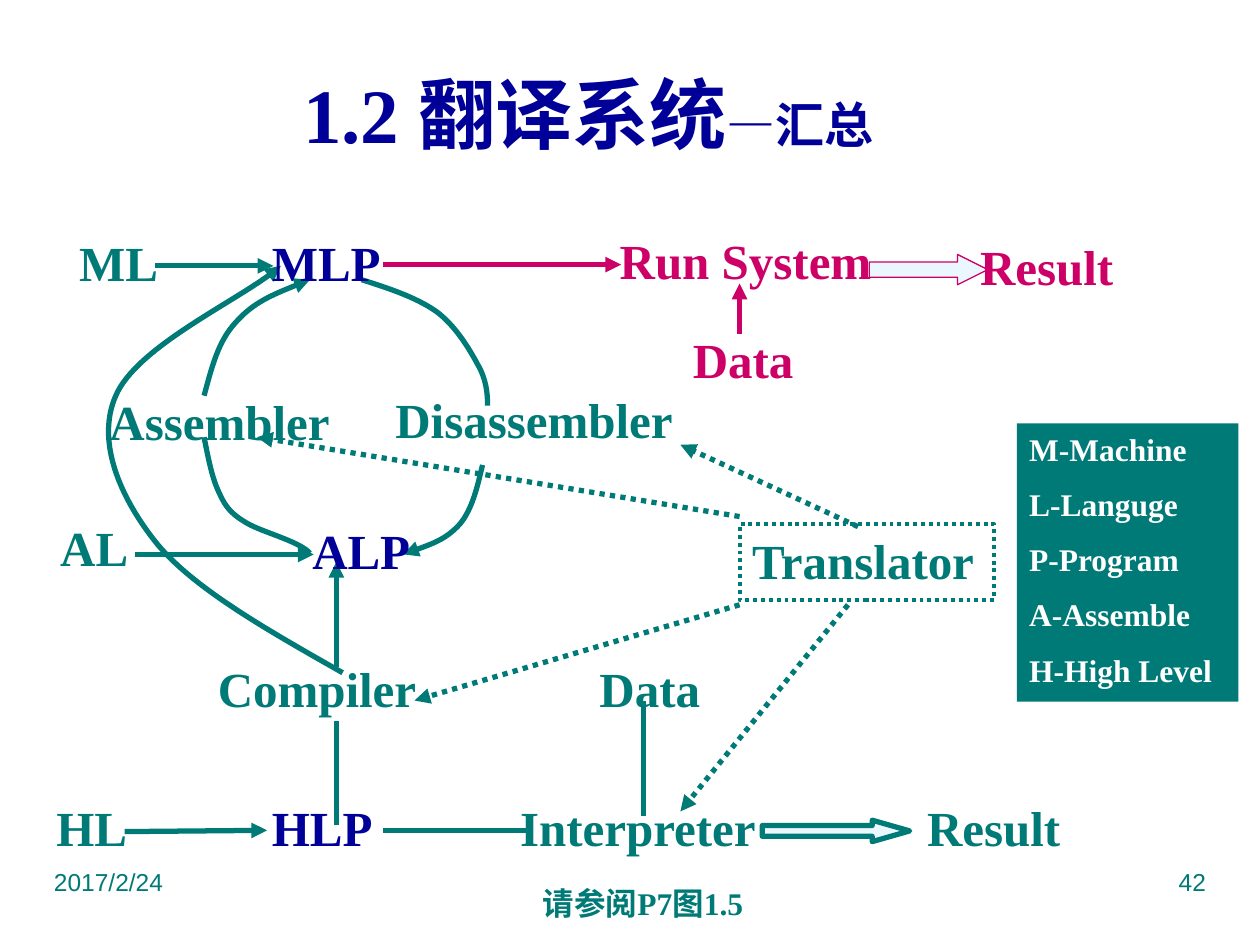
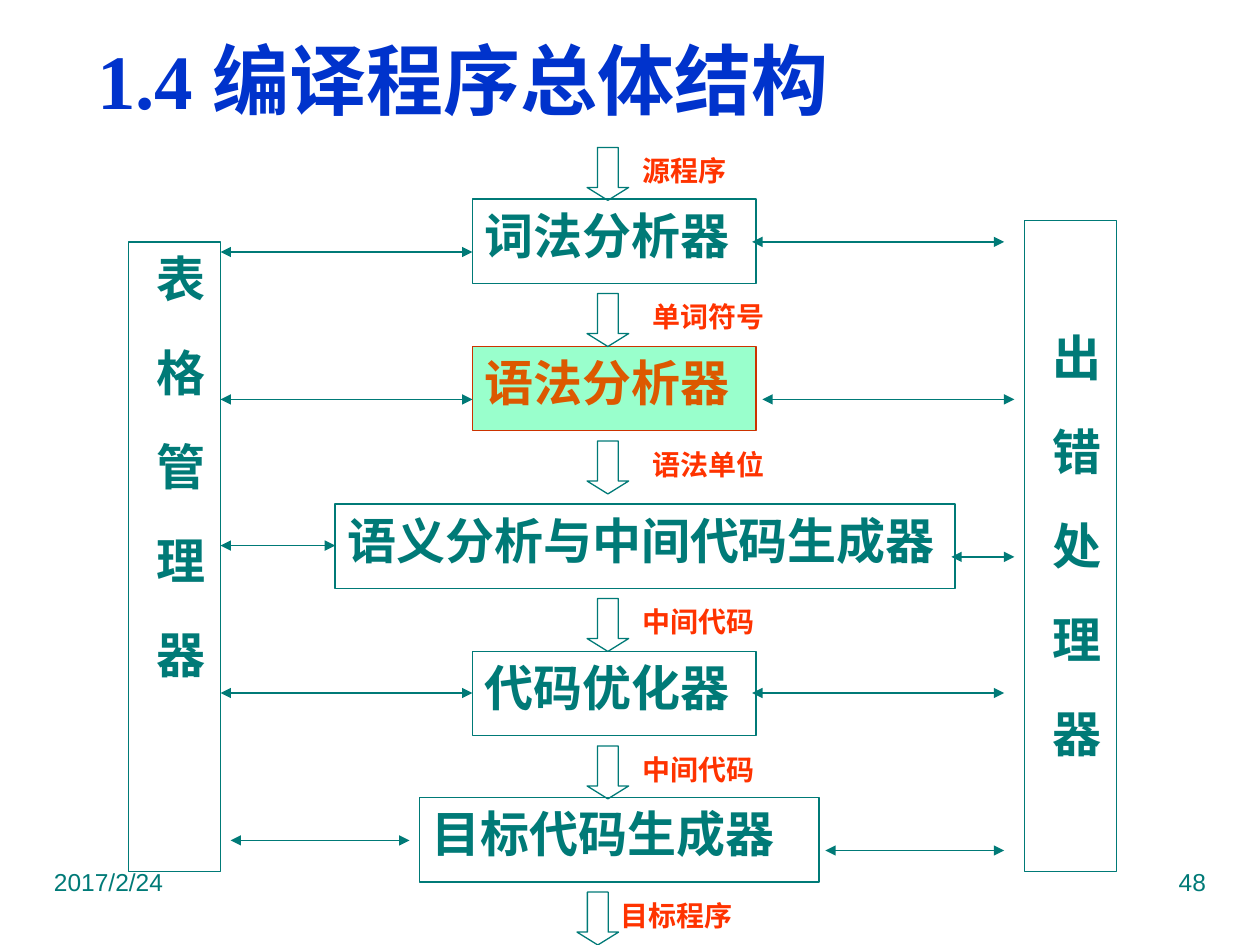
from pptx import Presentation
from pptx.dml.color import RGBColor
from pptx.enum.dml import MSO_LINE
from pptx.enum.shapes import MSO_CONNECTOR, MSO_SHAPE
from pptx.enum.text import MSO_ANCHOR, MSO_AUTO_SIZE, PP_ALIGN
from pptx.oxml.ns import qn
from pptx.util import Inches, Pt
from lxml import etree

LINE = MSO_CONNECTOR.STRAIGHT
RECT, RIGHT, DOWN = MSO_SHAPE.RECTANGLE, MSO_SHAPE.RIGHT_ARROW, MSO_SHAPE.DOWN_ARROW
DOTS = MSO_LINE.ROUND_DOT
TOP, MIDDLE = MSO_ANCHOR.TOP, MSO_ANCHOR.MIDDLE
LEFT, CENTER, FAR = PP_ALIGN.LEFT, PP_ALIGN.CENTER, PP_ALIGN.RIGHT
HUES = {"teal": "007A77", "navy": "000099", "blue": "0033CC", "pink": "CC0066",
        "pale": "EBF7FF", "white": "FFFFFF", "mint": "99FFCC", "rust": "CC3300",
        "amber": "DC5900", "red": "FF3300"}
HUES = {name: RGBColor.from_string(code) for name, code in HUES.items()}
SERIF, SANS, HAN = "Times New Roman", "Arial", "Noto Sans CJK JP"
BOTH = ("headEnd", "tailEnd")
TAIL = ("tailEnd",)


def style(frame, size, hue, font=SERIF, bold=True, align=LEFT, anchor=TOP):
    """Format all text already in the frame."""
    frame.vertical_anchor = anchor
    for para in frame.paragraphs:
        para.alignment = align
        for run in para.runs:
            run.font.name, run.font.size, run.font.bold = font, Pt(size), bold
            run.font.color.rgb = HUES[hue]
            etree.SubElement(run.font._element, qn("a:ea"), typeface=HAN)


def stroke(shape, hue, width, dash=None, ends=()):
    """Set the outline and arrowheads, and drop the shadow."""
    shape.line.color.rgb = HUES[hue]
    shape.line.width = Pt(width)
    if dash:
        shape.line.dash_style = dash
    props = shape.element.spPr
    for end in ends:
        etree.SubElement(props.find(qn("a:ln")), qn("a:" + end), type="triangle")
    etree.SubElement(props, qn("a:effectLst"))


deck = Presentation()
deck.slide_width, deck.slide_height = Inches(10), Inches(7.5)

# Title and footer of both slides
heads = [
    ("1.2 翻译系统", "navy", CENTER, (0.2, 0.44, 8.94, 0.91), "42"),
    ("1.4 编译程序总体结构", "blue", LEFT, (0.67, 0.25, 9, 0.75), "48"),
]
pages = []
for text, hue, align, place, number in heads:
    page = deck.slides.add_slide(deck.slide_layouts[5])
    pages.append(page.shapes)
    title = page.shapes.title
    title.left, title.top, title.width, title.height = map(Inches, place)
    frame = title.text_frame
    frame.auto_size = MSO_AUTO_SIZE.NONE
    frame.text = text
    if number == "42":
        frame.paragraphs[0].add_run().text = "—汇总"
    style(frame, 44, hue, align=align, anchor=MIDDLE)
    for left, note, side in [(0.33, "2017/2/24", LEFT), (7.17, number, FAR)]:
        box = page.shapes.add_textbox(*map(Inches, (left, 6.83, 2.5, 0.52)))
        box.text_frame.word_wrap = True
        box.text_frame.text = note
        style(box.text_frame, 14, "teal", SANS, False, side)
map_page, flow = pages
map_page.title.text_frame.paragraphs[0].runs[1].font.size = Pt(28)

# Slide 1: translation systems
wires = [
    (1.23, 2.11, 2.17, 2.11, "teal", None, TAIL),
    (1.07, 4.4, 2.49, 4.4, "teal", None, TAIL),
    (0.99, 6.6, 2.12, 6.59, "teal", None, TAIL),
    (3.04, 6.59, 4.21, 6.59, "teal", None, ()),
    (5.11, 5.56, 5.11, 6.48, "teal", None, ()),
    (2.67, 5.29, 2.67, 4.46, "teal", None, TAIL),
    (2.67, 6.55, 2.67, 5.72, "teal", None, ()),
    (6.81, 4.18, 5.4, 3.53, "teal", DOTS, TAIL),
    (5.87, 4.1, 2.04, 3.47, "teal", DOTS, TAIL),
    (5.87, 4.8, 3.29, 5.56, "teal", DOTS, TAIL),
    (6.73, 4.8, 5.4, 6.44, "teal", DOTS, TAIL),
    (3.04, 2.1, 4.93, 2.1, "pink", None, TAIL),
    (5.87, 2.65, 5.87, 2.25, "pink", None, TAIL),
]
for *ends, hue, dash, tips in wires:
    wire = map_page.add_connector(LINE, *map(Inches, ends))
    stroke(wire, hue, 3, dash, tips)

# Each curve is a start point followed by triples of Bezier points
curves = [
    ([(1.62, 3.14), (1.68, 2.92), (1.73, 2.71), (1.87, 2.56),
      (2.01, 2.4), (2.23, 2.31), (2.46, 2.22)], TAIL),
    ([(1.62, 3.47), (1.65, 3.62), (1.68, 3.78), (1.73, 3.89), (1.78, 4), (1.81, 4.06),
      (1.94, 4.14), (2.06, 4.22), (2.37, 4.29), (2.46, 4.39)], ()),
    ([(2.87, 2.22), (3.09, 2.29), (3.3, 2.36), (3.46, 2.47), (3.61, 2.58), (3.72, 2.76),
      (3.79, 2.89), (3.86, 3.01), (3.87, 3.12), (3.87, 3.22)], ()),
    ([(3.83, 3.69), (3.79, 3.86), (3.75, 4.04), (3.65, 4.16),
      (3.54, 4.28), (3.37, 4.34), (3.2, 4.4)], TAIL),
    ([(2.72, 5.34), (2.14, 5.01), (1.55, 4.68), (1.25, 4.32), (0.95, 3.95), (0.76, 3.5),
      (0.92, 3.14), (1.08, 2.77), (1.96, 2.35), (2.23, 2.11)], TAIL),
]
for points, tips in curves:
    start, *rest = [(Inches(x), Inches(y)) for x, y in points]
    pen = map_page.build_freeform(*start)
    pen.add_line_segments(rest, close=False)
    curve = pen.convert_to_shape()
    curve.fill.background()
    stroke(curve, "teal", 3, ends=tips)
    track = curve.element.spPr.find(".//" + qn("a:path"))
    legs = track.findall(qn("a:lnTo"))
    for i in range(0, len(legs), 3):
        bend = etree.SubElement(track, qn("a:cubicBezTo"))
        for leg in legs[i:i + 3]:
            bend.append(leg[0])
            track.remove(leg)

for place, ratio, hue, width in [((6.05, 6.51, 1.17, 0.17), 1.75, "teal", 3),
                                 ((6.9, 2.02, 0.94, 0.24), 1, "pink", 0.75)]:
    arrow = map_page.add_shape(RIGHT, *map(Inches, place))
    arrow.adjustments[1] = ratio
    arrow.fill.solid()
    arrow.fill.fore_color.rgb = HUES["pale"]
    stroke(arrow, hue, width)

frame_box = map_page.add_shape(RECT, *map(Inches, (5.87, 4.16, 2.02, 0.6)))
frame_box.fill.background()
stroke(frame_box, "teal", 2.25, DOTS)
frame_box.text_frame.word_wrap = False
frame_box.text_frame.text = "Translator"
style(frame_box.text_frame, 28, "teal")

terms = [
    ("Run System", 4.82, 1.78, 2.2, "pink"), ("Data", 5.4, 2.57, 1, "pink"),
    ("Result", 7.68, 1.83, 1.26, "pink"), ("ML", 0.53, 1.8, 0.83, "teal"),
    ("MLP", 2.06, 1.8, 1.06, "navy"), ("Assembler", 0.77, 3.06, 1.95, "teal"),
    ("Disassembler", 3.04, 3.04, 2.4, "teal"), ("AL", 0.38, 4.06, 0.74, "teal"),
    ("ALP", 2.38, 4.08, 0.98, "navy"), ("Compiler", 1.63, 5.18, 1.78, "teal"),
    ("Data", 4.66, 5.18, 1, "teal"), ("HL", 0.35, 6.28, 0.76, "teal"),
    ("HLP", 2.06, 6.28, 1, "navy"), ("Interpreter", 4.03, 6.28, 2.08, "teal"),
    ("Result", 7.26, 6.28, 1.26, "teal"),
]
for text, left, top, width, hue in terms:
    box = map_page.add_textbox(*map(Inches, (left, top, width, 0.57)))
    box.text_frame.text = text
    style(box.text_frame, 28, hue)

legend = map_page.add_shape(RECT, *map(Inches, (8.07, 3.36, 1.76, 2.21)))
legend.shadow.inherit = False
legend.fill.solid()
legend.fill.fore_color.rgb = HUES["teal"]
legend.line.fill.background()
legend.text_frame.text = "M-Machine\nL-Languge\nP-Program\nA-Assemble\nH-High Level"
style(legend.text_frame, 18, "white")
for para in legend.text_frame.paragraphs[1:]:
    para.space_before = Pt(10)

cite = map_page.add_textbox(*map(Inches, (4.21, 6.97, 2.52, 0.4)))
cite.text_frame.word_wrap = True
cite.text_frame.text = "请参阅P7图1.5"
style(cite.text_frame, 18, "teal")

# Slide 2: compiler structure
stages = [
    ("词法分析器", 3.75, 1.58, 2.25, "teal", "teal"),
    ("语法分析器", 3.75, 2.75, 2.25, "rust", "amber"),
    ("语义分析与中间代码生成器", 2.66, 4, 4.92, "teal", "teal"),
    ("代码优化器", 3.75, 5.17, 2.25, "teal", "teal"),
    ("目标代码生成器", 3.33, 6.33, 3.17, "teal", "teal"),
]
for text, left, top, width, edge, ink in stages:
    box = flow.add_shape(RECT, *map(Inches, (left, top, width, 0.67)))
    if edge == "rust":
        box.fill.solid()
        box.fill.fore_color.rgb = HUES["mint"]
    else:
        box.fill.background()
    stroke(box, edge, 0.75)
    box.text_frame.text = text
    style(box.text_frame, 28, ink, HAN)

# Side columns: upright text, spread by letter spacing
for text, left, top, height, indent in [("表格管理器", 1.02, 1.92, 5, 0),
                                        ("出错处理器", 8.13, 1.75, 5.17, 0.8)]:
    side = flow.add_shape(RECT, *map(Inches, (left, top, 0.73, height)))
    side.fill.background()
    stroke(side, "teal", 0.75)
    frame = side.text_frame
    frame._txBody.bodyPr.set("vert", "eaVert")
    frame.text = text
    style(frame, 28, "teal", HAN)
    para = frame.paragraphs[0]
    para.line_spacing = 1.1
    para._p.get_or_add_pPr().set("marL", str(Inches(indent)))
    para.runs[0].font._element.set("spc", "2570")

links = [
    (1.75, 3.75, 2), (1.75, 3.75, 3.17), (1.75, 2.66, 4.33), (1.75, 3.75, 5.5),
    (1.83, 3.25, 6.67), (5.97, 7.97, 1.92), (6.05, 8.05, 3.17), (7.55, 8.05, 4.42),
    (5.97, 7.97, 5.5), (6.55, 7.97, 6.75),
]
for left, right, y in links:
    link = flow.add_connector(LINE, *map(Inches, (left, y, right, y)))
    stroke(link, "teal", 0.75, ends=BOTH)

steps = [
    ("源程序", 4.66, 5, 1.17), ("单词符号", 4.66, 5.08, 2.33),
    ("语法单位", 4.66, 5.08, 3.5), ("中间代码", 4.66, 5, 4.75),
    ("中间代码", 4.66, 5, 5.92), ("目标程序", 4.58, 4.83, 7.08),
]
for text, left, start, top in steps:
    arrow = flow.add_shape(DOWN, *map(Inches, (left, top, 0.33, 0.42)))
    arrow.adjustments[1] = 0.31
    arrow.fill.background()
    stroke(arrow, "teal", 0.75)
    box = flow.add_textbox(*map(Inches, (start, top, 1.33, 0.33)))
    box.text_frame.word_wrap = True
    box.text_frame.text = text
    style(box.text_frame, 16, "red", HAN)

deck.save("out.pptx")
